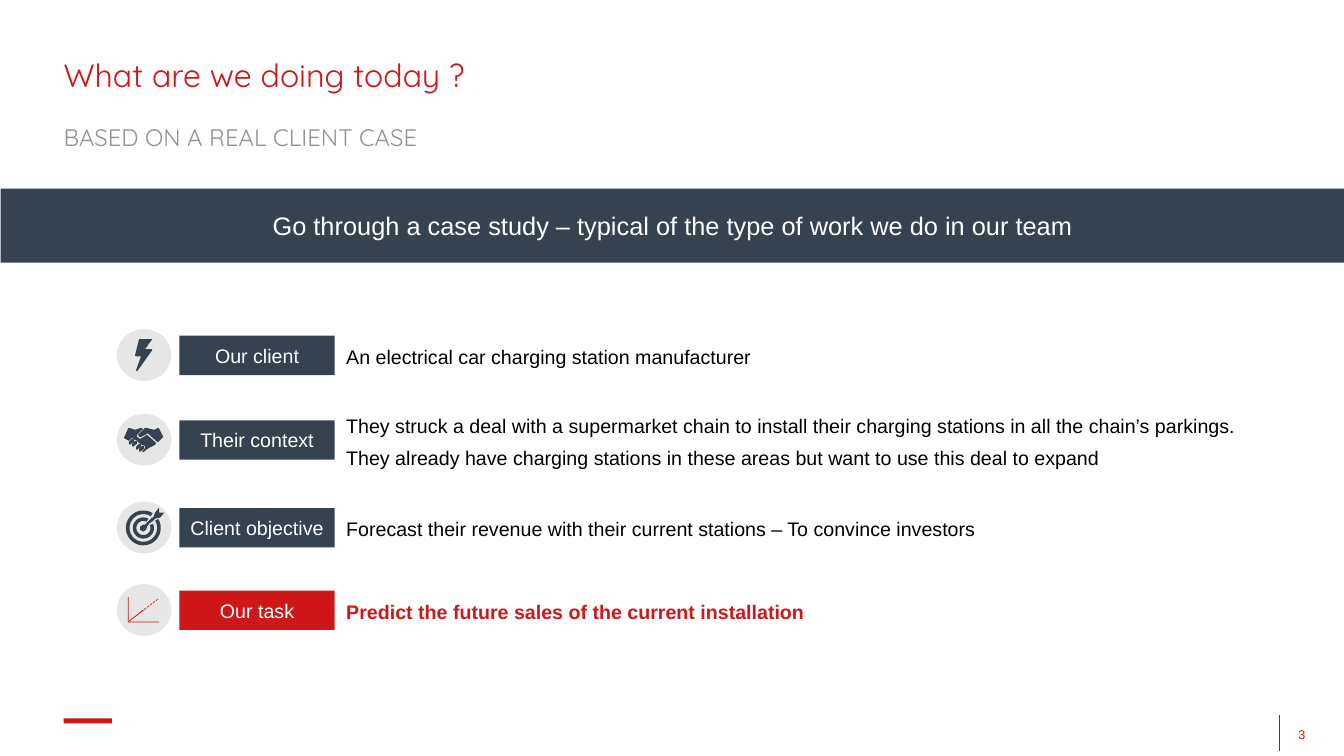
import math
from lxml import etree
from pptx import Presentation, util as u
from pptx.dml import color
from pptx.enum import shapes, text

COLORS = {"red": "CE1719", "navy": "364250", "grey": "929292",
          "disc": "E6E6E6", "white": "FFFFFF", "black": "000000"}
DRAWING = "http://schemas.openxmlformats.org/drawingml/2006/main"

deck = Presentation()
deck.slide_width, deck.slide_height = u.Pt(960), u.Pt(540)
slide = deck.slides.add_slide(deck.slide_layouts[6])


def paint(shape, fill):
    shape.shadow.inherit = False
    shape.fill.solid()
    shape.fill.fore_color.rgb = color.RGBColor.from_string(COLORS[fill])
    shape.line.fill.background()


def add_box(place, lines=(), size=14, ink="black", fill=None, font="Arial", bold=False,
            align="LEFT", anchor="MIDDLE", kind="RECTANGLE"):
    place = [u.Pt(value) for value in place]
    if fill:
        box = slide.shapes.add_shape(shapes.MSO_SHAPE[kind], *place)
        paint(box, fill)
    else:
        box = slide.shapes.add_textbox(*place)
    frame = box.text_frame
    layout = {"margin_left": 0, "margin_right": 0, "margin_top": 0, "margin_bottom": 0,
              "word_wrap": True, "vertical_anchor": text.MSO_ANCHOR[anchor]}
    for name, value in layout.items():
        setattr(frame, name, value)
    for number, line in enumerate(lines):
        para = frame.add_paragraph() if number else frame.paragraphs[0]
        para.alignment = text.PP_ALIGN[align]
        para.space_before = u.Pt(6 if number else 0)
        span = para.add_run()
        span.text = line
        for name, value in {"size": u.Pt(size), "name": font, "bold": bold}.items():
            setattr(span.font, name, value)
        span.font.color.rgb = color.RGBColor.from_string(COLORS[ink])


add_box((927.4, 519, 21, 9.5), ["3"], size=9, ink="red", anchor="TOP")
divider = slide.shapes.add_connector(
    shapes.MSO_CONNECTOR.STRAIGHT, u.Pt(913.7), u.Pt(511), u.Pt(913.7), u.Pt(536.5))
divider.line.width = u.Pt(0.5)
divider.line.color.rgb = color.RGBColor.from_string(COLORS["navy"])
etree.SubElement(divider.line._get_or_add_ln().getparent(), f"{{{DRAWING}}}effectLst")
add_box((45.4, 513.2, 34.6, 3.6), fill="red")

add_box((45.4, 39.6, 868.3, 28), ["What are we doing today ?"],
        size=23, ink="red", font="Quicksand", anchor="TOP")
add_box((45.4, 87.8, 868.3, 21.6), ["BASED ON A REAL CLIENT CASE"],
        size=17, ink="grey", font="Quicksand", anchor="TOP")
add_box((0.5, 134.8, 959.5, 52.8),
        ["Go through a case study – typical of the type of work we do in our team"],
        size=18.1, ink="white", fill="navy", align="CENTER")

bolt = [[(35, 20), (28, 20), (35, 10), (22, 10), (18, 26), (19, 27), (24, 27),
         (19, 41), (20, 42), (35, 21)]]

finger = [(17, 25), (15, 25), (12, 28), (12, 30), (13, 31), (14, 30), (17, 28)]
handshake = [[(x + right, y + down) for x, y in finger]
             for right, down in [(0, 0), (3, 2), (7, 5), (10, 7)]]
handshake += [
    [(30, 21), (25, 24), (23, 25), (20, 23), (20, 21), (26, 15), (24, 14), (18, 16),
     (15, 15), (12, 14), (11, 15), (8, 22), (7, 24), (12, 27), (15, 24), (18, 26),
     (19, 26), (22, 29), (25, 31), (28, 32), (28, 34), (25, 38), (27, 38), (29, 36),
     (32, 34), (36, 32), (38, 31), (39, 29)],
    [(42, 15), (41, 14), (37, 16), (33, 15), (29, 14), (28, 14), (21, 21), (22, 23),
     (24, 23), (30, 20), (30, 19), (40, 28), (41, 28), (45, 24), (46, 23)]]

target = [[(42, 6), (38, 11), (36, 16), (35, 16), (28, 23), (26, 23), (23, 25), (23, 28),
           (26, 30), (29, 28), (30, 25), (32, 22), (35, 20), (38, 17), (43, 16),
           (47, 11), (42, 11)]]
for outer, inner, start, end in [(10.5, 7, -24, 298), (17.3, 13.7, -31, 302)]:
    angles = [math.radians(start + (end - start) * step / 60) for step in range(61)]
    edge = [(outer, angle) for angle in angles] + [(inner, angle) for angle in angles[::-1]]
    target.append([(26.3 + radius * math.cos(angle), 26.3 + radius * math.sin(angle))
                   for radius, angle in edge])

forecast = [[(11, 13), (11.7, 13), (11.7, 37.3), (42, 37.3), (42, 38), (11, 38)],
            [(11.5, 37), (25.5, 25.8), (27, 25.8), (12, 37.5)]]
forecast += [[(27 + 2.9 * dash, 25 - 2.2 * dash), (29 + 2.9 * dash, 23.5 - 2.2 * dash),
              (29.3 + 2.9 * dash, 24 - 2.2 * dash), (27.4 + 2.9 * dash, 25.5 - 2.2 * dash)]
             for dash in range(5)]

rows = [
    (239.8, "Our client", "navy", "black", bolt, 294.5, 30,
     ["An electrical car charging station manufacturer"]),
    (300.2, "Their context", "navy", "black", handshake, 653, 50,
     ["They struck a deal with a supermarket chain to install their charging stations "
      "in all the chain’s parkings.",
      "They already have charging stations in these areas but want to use this deal to expand"]),
    (362.9, "Client objective", "navy", "black", target, 653, 50,
     ["Forecast their revenue with their current stations – To convince investors"]),
    (421.9, "Our task", "red", "red", forecast, 685.4, 32.4,
     ["Predict the future sales of the current installation"])]

for top, label, fill, ink, icon, width, height, lines in rows:
    add_box((128.2, top, 110.9, 28.1), [label], ink="white", fill=fill, align="CENTER")
    add_box((247.3, top + 15 - height / 2, width, height), lines, ink=ink, bold=ink == "red")
    disc_left, disc_top = 83.5, top - 4.7
    add_box((disc_left, disc_top, 38.9, 37), fill="disc", kind="OVAL")
    for outline in icon:
        points = [(x * 10, y * 10) for x, y in outline]
        builder = slide.shapes.build_freeform(*points[0], scale=u.Pt(0.072))
        builder.add_line_segments(points[1:], close=True)
        paint(builder.convert_to_shape(u.Pt(disc_left), u.Pt(disc_top)), fill)

deck.save("out.pptx")
